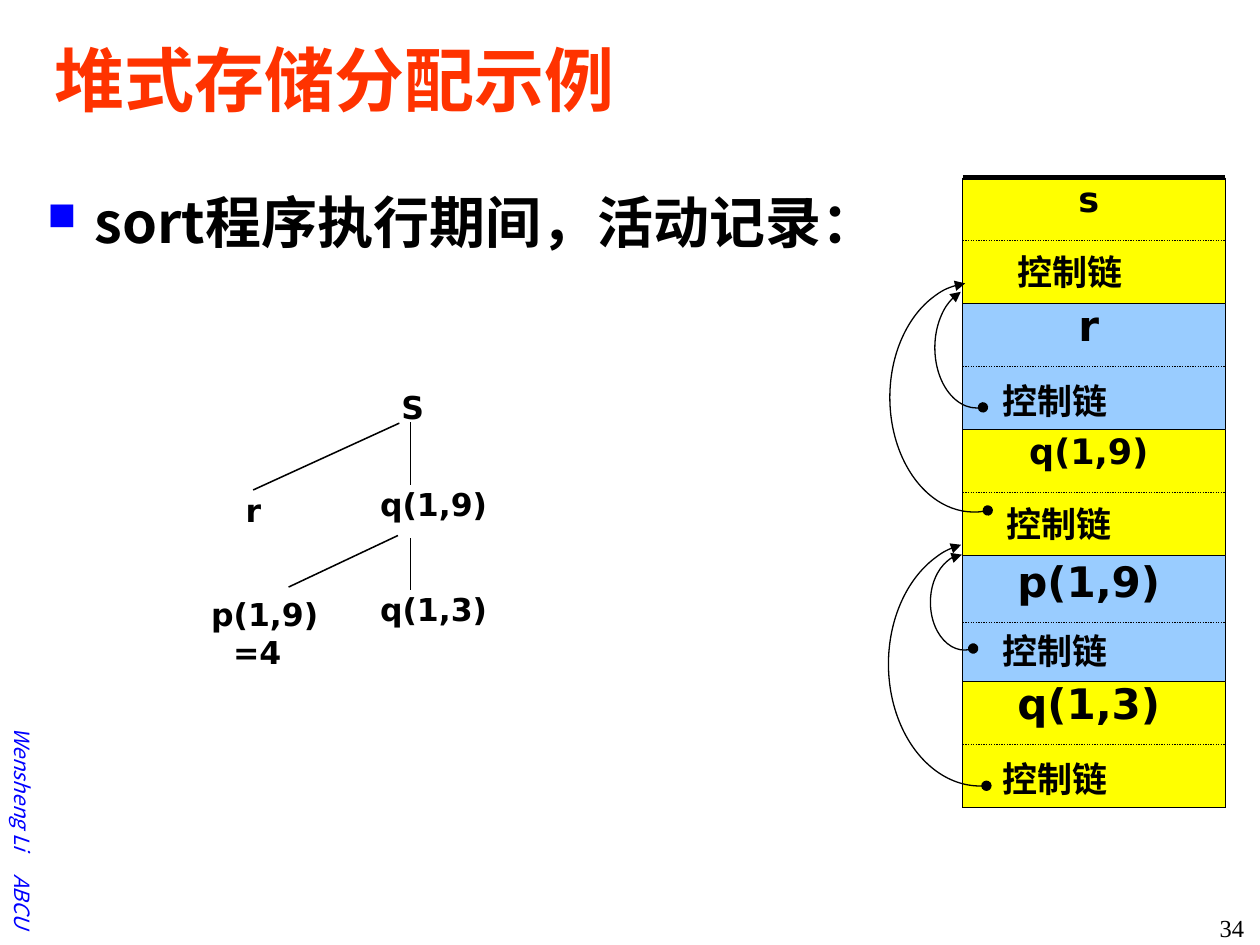
from math import atan2, degrees

from lxml.etree import SubElement
from pptx import Presentation
from pptx.dml.color import RGBColor
from pptx.enum.dml import MSO_LINE
from pptx.enum.shapes import MSO_CONNECTOR, MSO_SHAPE
from pptx.enum.text import MSO_ANCHOR, PP_ALIGN
from pptx.oxml.ns import qn
from pptx.util import Pt

BLACK = RGBColor(0x00, 0x00, 0x00)
BLUE = RGBColor(0x00, 0x00, 0xFF)
RED = RGBColor(0xFF, 0x33, 0x00)
YELLOW = RGBColor(0xFF, 0xFF, 0x00)
SKY = RGBColor(0x99, 0xCC, 0xFF)
CJK = "Noto Sans CJK SC"
SANS = "DejaVu Sans"
SERIF = "Times New Roman"

RECORD_H = 72
RECORDS = [
    ("s", 20, YELLOW, 12, 36, 31, 53.7),
    ("r", 24, SKY, 12, 36, 22.5, 55.5),
    ("q(1,9)", 20, YELLOW, 12, 36, 25, 53.7),
    ("p(1,9)", 24, SKY, 14.5, 38.3, 22.5, 54.2),
    ("q(1,3)", 24, YELLOW, 12, 36, 22.5, 55.5),
]
LINKS = [
    ((8, 97.2), (24, 34.5), (3.5, 34), (-9, -31.5)),
    ((6.3, 125.6), (48, 65.5), (8, 65), (-5, -66)),
    ((1, 242.7), (19.5, 27.3), (5, 26.7), (-1.5, -26.7)),
    ((10, 278), (52.5, 69.7), (3.5, 69.6), (-11, -68.4)),
]
NODES = [("S", 75.7, 0), ("r", -13.3, 59), ("q(1,9)", 63.5, 55.5),
         ("p(1,9)\n=4", -33, 118.3), ("q(1,3)", 63.5, 115.5)]
EDGES = [((74.5, 20), (-9, 58.2)), ((81, 19.5), (81, 55.5)),
         ((73.7, 84.2), (11.2, 113.7)), ((81, 85.7), (81, 115.2))]


def style_runs(tf, size, font, color=BLACK, bold=True):
    """Format every run of a text frame."""
    for p in tf.paragraphs:
        for r in p.runs:
            r.font.size = Pt(size)
            r.font.bold = bold
            r.font.name = font
            r.font.color.rgb = color
            SubElement(r.font._element, qn("a:ea"), typeface=font)


def add_text(slide, box, text, size, font, align=PP_ALIGN.LEFT, inset=0,
             anchor=MSO_ANCHOR.TOP, wrap=False, **style):
    """Add a formatted text box."""
    sp = slide.shapes.add_textbox(*map(Pt, box))
    tf = sp.text_frame
    tf.word_wrap = wrap
    tf.vertical_anchor = anchor
    tf.margin_left = tf.margin_right = Pt(inset)
    tf.margin_top = tf.margin_bottom = Pt(inset / 2)
    tf.text = text
    for p in tf.paragraphs:
        p.alignment = align
    style_runs(tf, size, font, **style)
    return sp


def add_line(slide, start, end, width=0.75):
    """Add a straight black line without a shadow."""
    line = slide.shapes.add_connector(MSO_CONNECTOR.STRAIGHT, *map(Pt, (*start, *end)))
    line.line.width = Pt(width)
    line.line.color.rgb = BLACK
    SubElement(line._element.spPr, qn("a:effectLst"))
    return line


def add_title(slide, box):
    """Place and format the slide title."""
    sp = slide.shapes.title
    sp.left, sp.top, sp.width, sp.height = map(Pt, box)
    tf = sp.text_frame
    tf.text = "堆式存储分配示例"
    tf.vertical_anchor = MSO_ANCHOR.MIDDLE
    tf.paragraphs[0].alignment = PP_ALIGN.LEFT
    style_runs(tf, 40, CJK, RED)


def add_body(slide, box):
    """Add the bulleted statement."""
    sp = add_text(slide, box, "sort程序执行期间，活动记录：", 32, CJK, inset=7.2, wrap=True)
    pPr = sp.text_frame.paragraphs[0]._p.get_or_add_pPr()
    pPr.set("marL", str(Pt(27)))
    pPr.set("indent", str(-Pt(27)))
    SubElement(SubElement(pPr, qn("a:buClr")), qn("a:srgbClr"), val=str(BLUE))
    SubElement(pPr, qn("a:buSzPct"), val="70000")
    SubElement(pPr, qn("a:buFont"), typeface="Wingdings", charset="2")
    SubElement(pPr, qn("a:buChar"), char="n")


def add_tree(slide, x, y):
    """Draw the activation tree from its top left corner."""
    for text, dx, dy in NODES:
        height = 21.6 * len(text.split("\n"))
        sp = add_text(slide, (x + dx, y + dy, 64, height), text, 18, SANS)
        for p in sp.text_frame.paragraphs[1:]:
            p._p.get_or_add_pPr().set("marL", str(Pt(12.5)))
    for (x1, y1), (x2, y2) in EDGES:
        add_line(slide, (x + x1, y + y1), (x + x2, y + y2), 0.88)


def add_record(slide, box, name, size, color, name_y, divider_y, chain_x, chain_y):
    """Draw one activation record with its name and control link."""
    x, y, w, h = box
    sp = slide.shapes.add_shape(MSO_SHAPE.RECTANGLE, *map(Pt, box))
    sp.shadow.inherit = False
    sp.fill.solid()
    sp.fill.fore_color.rgb = color
    sp.line.fill.background()
    for side in (x, x + w):
        add_line(slide, (side, y), (side, y + h))
    divider = add_line(slide, (x, y + divider_y), (x + w, y + divider_y))
    divider.line.dash_style = MSO_LINE.ROUND_DOT
    if divider_y == h / 2:
        divider.begin_connect(sp, 1)
        divider.end_connect(sp, 3)
    add_text(slide, (x + 22, y + name_y - 18, 100, 36), name, size, SANS,
             align=PP_ALIGN.CENTER, anchor=MSO_ANCHOR.MIDDLE)
    add_text(slide, (x + chain_x, y + chain_y - 15.5, 62, 31), "控制链", 20, CJK,
             anchor=MSO_ANCHOR.MIDDLE)


def add_link(slide, center, radii, start, end):
    """Draw an elliptical control link with a dot and an arrowhead."""
    (cx, cy), (rx, ry) = center, radii
    sp = slide.shapes.add_shape(MSO_SHAPE.ARC, Pt(cx - rx), Pt(cy - ry), Pt(2 * rx), Pt(2 * ry))
    sp.shadow.inherit = False
    sp.fill.background()
    sp.line.color.rgb = BLACK
    sp.line.width = Pt(0.75)
    for i, (dx, dy) in enumerate((start, end)):
        sp.adjustments[i] = degrees(atan2(dy, dx)) % 360 * 0.6
    ln = sp.line._get_or_add_ln()
    SubElement(ln, qn("a:headEnd"), type="oval")
    SubElement(ln, qn("a:tailEnd"), type="triangle")


def add_stack(slide, x, y, w):
    """Stack the activation records and join them with control links."""
    for i, record in enumerate(RECORDS):
        add_record(slide, (x, y + i * RECORD_H, w, RECORD_H), *record)
    for i in range(len(RECORDS) + 1):
        edge_y = y + i * RECORD_H
        add_line(slide, (x, edge_y), (x + w, edge_y), 0.75 if i else 3)
    for (dx, dy), *shape in LINKS:
        add_link(slide, (x + dx, y + dy), *shape)


def add_margin_notes(slide, author_box, number_box):
    """Add the rotated author line and the slide number."""
    sp = add_text(slide, author_box, "", 12, CJK, align=PP_ALIGN.RIGHT, inset=7.2,
                  anchor=MSO_ANCHOR.MIDDLE, wrap=True)
    sp.rotation = 90
    p = sp.text_frame.paragraphs[0]
    for text in ("Wensheng Li", " ", "ABCU"):
        r = p.add_run()
        r.text = text
        r.font.italic = True
    style_runs(sp.text_frame, 12, CJK, BLUE, False)
    p.runs[1].font._element.set("spc", "1070")
    add_text(slide, number_box, "34", 14, SERIF, align=PP_ALIGN.RIGHT, inset=7.2,
             wrap=True, bold=False)


def main():
    """Build and save the slide."""
    prs = Presentation()
    prs.slide_width, prs.slide_height = Pt(720), Pt(540)
    slide = prs.slides.add_slide(prs.slide_layouts[5])
    add_margin_notes(slide, (-82, 432, 190, 21.6), (658, 518.4, 60, 21.6))
    add_title(slide, (24, 12, 678, 66))
    add_tree(slide, 153.7, 221.8)
    add_stack(slide, 550.2, 101.5, 150)
    add_body(slide, (20, 103.7, 484, 101.5))
    prs.save("out.pptx")


if __name__ == "__main__":
    main()
